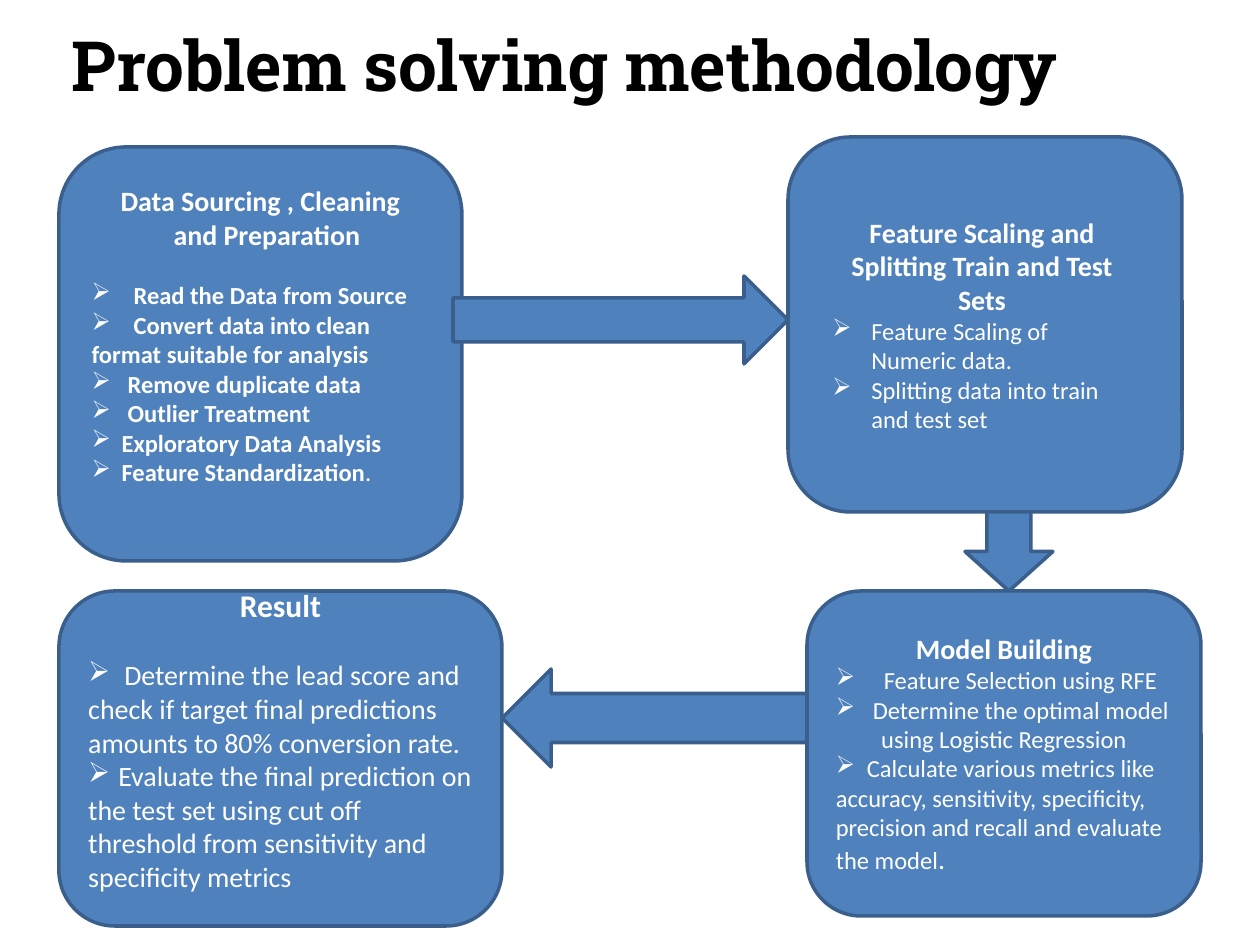
import pptx
import pptx.util
import pptx.dml.color
import pptx.enum.shapes
import pptx.enum.text
import pptx.oxml.ns
import lxml.etree

SCALE = 914400 / 126
COLORS = {"fill": "4F81BD", "line": "3A5F8C", "light": "FFFFFF", "dark": "000000"}
SHAPE = pptx.enum.shapes.MSO_SHAPE
ALIGN = pptx.enum.text.PP_ALIGN
ANCHOR = pptx.enum.text.MSO_ANCHOR


def px(n):
    return pptx.util.Emu(round(n * SCALE))


def rgb(name):
    return pptx.dml.color.RGBColor.from_string(COLORS[name])


def child(node, tag, **attrs):
    return lxml.etree.SubElement(node, pptx.oxml.ns.qn(tag), attrs)


def write(frame, text, size=14, bold=False, font="Calibri", color="light",
          align=ALIGN.LEFT, left=0, hang=0, before=0, bullet=False, gap=0, end=None):
    """Add one paragraph; gap is the tab stop after a bullet, end a last run."""
    first = frame.paragraphs[0]
    para = frame.add_paragraph() if first.runs else first
    para.alignment = align
    para.space_before = pptx.util.Pt(before)
    props = para._p.get_or_add_pPr()
    props.set("marL", str(px(left)))
    props.set("indent", str(px(-hang)))
    if bullet:
        child(props, "a:buChar", char="➢")
    if gap:
        child(child(props, "a:tabLst"), "a:tab", pos=str(px(gap)), algn="l")
        text = "\t" + text
    parts = [(line, size, bold) for line in text.split("\v")]
    breaks = len(parts) - 1
    for i, (words, points, heavy) in enumerate(parts + ([end] if end else [])):
        if 0 < i <= breaks:
            para.add_line_break()
        run = para.add_run()
        run.text = words
        run.font.size = pptx.util.Pt(points)
        run.font.bold = heavy
        run.font.name = font
        run.font.color.rgb = rgb(color)


def block(slide, kind, box):
    shape = slide.shapes.add_shape(kind, *map(px, box))
    shape.shadow.inherit = False
    shape.fill.solid()
    shape.fill.fore_color.rgb = rgb("fill")
    shape.line.color.rgb = rgb("line")
    shape.line.width = pptx.util.Pt(2)
    return shape


def panel(slide, box, right=13, bottom=6):
    frame = block(slide, SHAPE.ROUNDED_RECTANGLE, box).text_frame
    frame.word_wrap = True
    frame.vertical_anchor = ANCHOR.MIDDLE
    frame.margin_left, frame.margin_right = px(13), px(right)
    frame.margin_top, frame.margin_bottom = px(6), px(bottom)
    return frame


def head(frame, text, size=16, **form):
    write(frame, text, size=size, bold=True, align=ALIGN.CENTER, **form)


def title(slide, box):
    shape = slide.shapes.title
    shape.left, shape.top, shape.width, shape.height = map(px, box)
    frame = shape.text_frame
    frame.auto_size = pptx.enum.text.MSO_AUTO_SIZE.NONE
    frame.vertical_anchor = ANCHOR.MIDDLE
    write(frame, "Problem solving methodology", size=39.6, bold=True,
          font="Roboto Slab", color="dark")


def source(slide, box):
    frame = panel(slide, box, bottom=44)
    head(frame, "Data Sourcing , Cleaning")
    head(frame, "and Preparation", left=13)
    items = [("Read the Data from Source", 42),
             ("Convert data into clean\vformat suitable for analysis", 42),
             ("Remove duplicate data", 36),
             ("Outlier Treatment", 36),
             ("Exploratory Data Analysis", 30),
             ("Feature Standardization", 30)]
    for i, (text, gap) in enumerate(items):
        write(frame, text, bold=True, bullet=True, gap=gap, before=0 if i else 17,
              end=(".", 14, False) if i == len(items) - 1 else None)


def scaling(slide, box):
    frame = panel(slide, box, right=43)
    head(frame, "Feature Scaling and Splitting Train and Test Sets", left=24, before=14.3)
    for text in ("Feature Scaling of Numeric data.",
                 "Splitting data into train and test set"):
        write(frame, text, bullet=True, left=52, hang=39)


def model(slide, box):
    frame = panel(slide, box)
    head(frame, "Model Building")
    write(frame, "Feature Selection using RFE", bullet=True, gap=48)
    write(frame, "Determine the optimal model", bullet=True, gap=37)
    write(frame, "using Logistic Regression", align=ALIGN.CENTER)
    write(frame, "Calculate various metrics like\vaccuracy, sensitivity, specificity, "
          "precision and recall and evaluate the model",
          bullet=True, gap=31, end=(".", 16, False))


def result(slide, box):
    frame = panel(slide, box, bottom=44)
    head(frame, "Result", size=18)
    write(frame, "Determine the lead score and check if target final predictions "
          "amounts to 80% conversion rate.", size=16, bullet=True, gap=36, before=19.5)
    write(frame, "Evaluate the final prediction on the test set using cut off\v"
          "threshold from sensitivity and specificity metrics",
          size=16, bullet=True, gap=30)


def main():
    deck = pptx.Presentation()
    deck.slide_width, deck.slide_height = px(1260), px(945)
    slide = deck.slides.add_slide(deck.slide_layouts[5])
    title(slide, (59, 29, 1134, 69))
    # Steps and the arrows between them, back to front
    source(slide, (59, 147, 403, 414))
    block(slide, SHAPE.RIGHT_ARROW, (453, 276, 335, 88))
    scaling(slide, (788, 137, 394, 375))
    model(slide, (807, 591, 394, 325))
    block(slide, SHAPE.DOWN_ARROW, (965, 512, 88, 79))
    block(slide, SHAPE.RIGHT_ARROW, (502, 669, 305, 98)).rotation = 180
    result(slide, (59, 591, 443, 335))
    deck.save("out.pptx")


if __name__ == "__main__":
    main()
